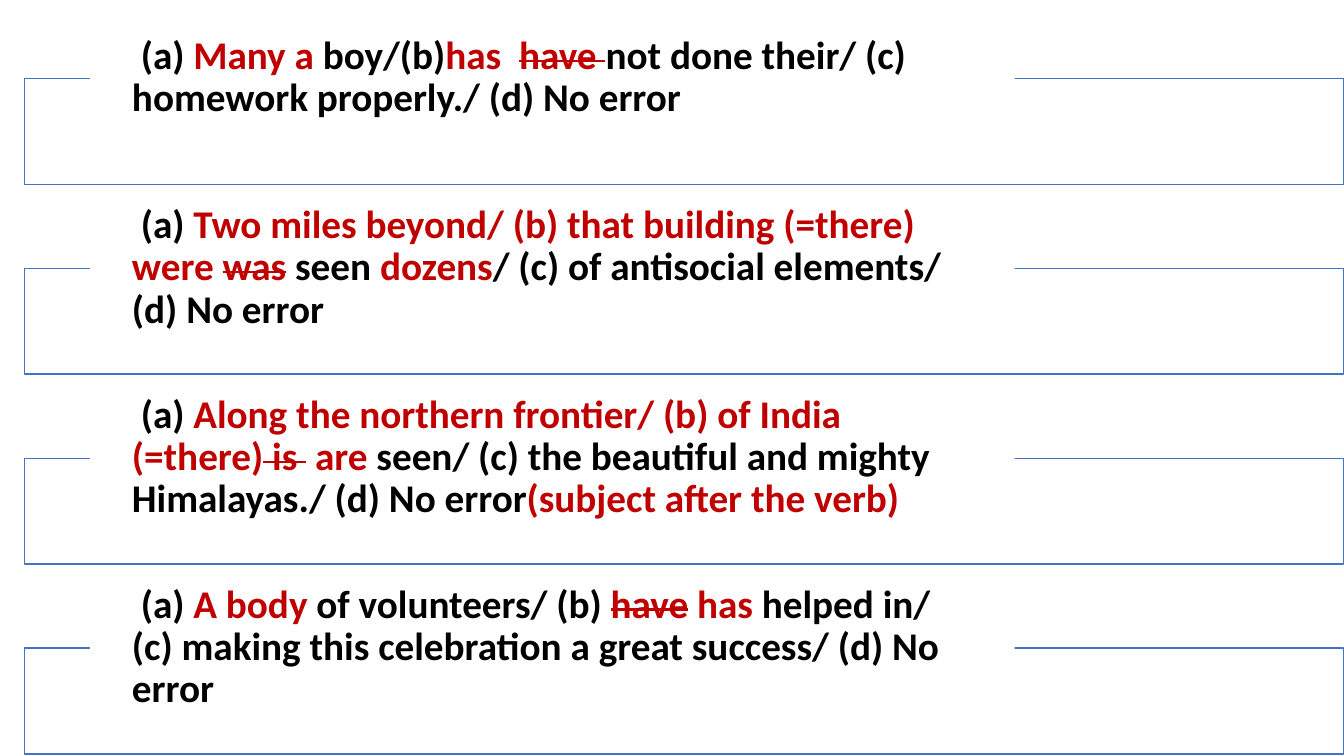
import pptx
import pptx.util
import pptx.dml.color
import pptx.enum.shapes
import pptx.enum.text
from lxml import etree

Pt = pptx.util.Pt
RGB = pptx.dml.color.RGBColor
SHAPE = pptx.enum.shapes.MSO_SHAPE
TEXT = pptx.enum.text

BLACK = RGB(0x00, 0x00, 0x00)
RED = RGB(0xC0, 0x00, 0x00)
BLUE = RGB(0x44, 0x72, 0xC4)
WHITE = RGB(0xFF, 0xFF, 0xFF)

# Content: each sentence is a list of (text, style)
PLAIN, MARK, CUT = "plain", "mark", "cut"
ROWS = [
    [(" (a) ", PLAIN), ("Many a ", MARK), ("boy/(b)", PLAIN),
     ("has  ", MARK), ("have ", CUT),
     ("not done their/ (c) homework properly./ (d) No error", PLAIN)],
    [(" (a) ", PLAIN),
     ("Two miles beyond/ (b) that building (=there) were ", MARK),
     ("was", CUT), (" seen ", PLAIN), ("dozens", MARK),
     ("/ (c) of antisocial elements/ (d) No error", PLAIN)],
    [(" (a) ", PLAIN),
     ("Along the northern frontier/ (b) of India (=there)", MARK),
     (" is ", CUT), (" are ", MARK),
     ("seen/ (c) the beautiful and mighty Himalayas./ (d) No error", PLAIN),
     ("(subject after the verb)", MARK)],
    [(" (a) ", PLAIN), ("A body ", MARK), ("of volunteers/ (b) ", PLAIN),
     ("have", CUT), (" ", PLAIN), ("has", MARK),
     (" helped in/ (c) making this celebration a great success/ (d) No error",
      PLAIN)],
]
STYLES = {
    PLAIN: dict(color=BLACK),
    MARK: dict(color=RED),
    CUT: dict(color=RED, strike=True),
}

# Layout in points
PITCH = 135.65
FRAME = (17.3, 56, 942.5, 75.6)
LABEL = (64.8, 11.5, 659.5, 88.6)
INSET = 25.2


def add_run(para, text, size=28, color=BLACK, bold=True, strike=False):
    run = para.add_run()
    run.text = text
    run.font.name = "Calibri"
    run.font.size = Pt(size)
    run.font.bold = bold
    run.font.color.rgb = color
    if strike:
        run.font._element.set("strike", "sngStrike")


def add_box(slide, kind, place, drop, edge):
    left, top, width, height = place
    box = slide.shapes.add_shape(
        kind, Pt(left), Pt(top + drop), Pt(width), Pt(height))
    box.shadow.inherit = False
    box.fill.solid()
    box.fill.fore_color.rgb = WHITE
    box.line.color.rgb = edge
    box.line.width = Pt(1)
    return box


def fade(box, percent):
    tint = box.fill._xPr.find(".//" + pptx.oxml.ns.qn("a:srgbClr"))
    alpha = etree.SubElement(tint, pptx.oxml.ns.qn("a:alpha"))
    alpha.set("val", str(percent * 1000))


def add_row(slide, parts, drop):
    # Outlined frame behind, sentence label on top
    frame = add_box(slide, SHAPE.RECTANGLE, FRAME, drop, BLUE)
    fade(frame, 90)
    label = add_box(slide, SHAPE.ROUNDED_RECTANGLE, LABEL, drop, WHITE)
    body = label.text_frame
    body.word_wrap = True
    body.vertical_anchor = TEXT.MSO_ANCHOR.MIDDLE
    body.margin_left = body.margin_right = Pt(INSET)
    body.margin_top = body.margin_bottom = Pt(0)
    para = body.paragraphs[0]
    para.alignment = TEXT.PP_ALIGN.LEFT
    para.line_spacing = 0.9
    for text, style in parts:
        add_run(para, text, **STYLES[style])


def main():
    deck = pptx.Presentation()
    deck.slide_width, deck.slide_height = Pt(960), Pt(540)
    slide = deck.slides.add_slide(deck.slide_layouts[6])
    for index, parts in enumerate(ROWS):
        add_row(slide, parts, index * PITCH)
    deck.save("out.pptx")


if __name__ == "__main__":
    main()
